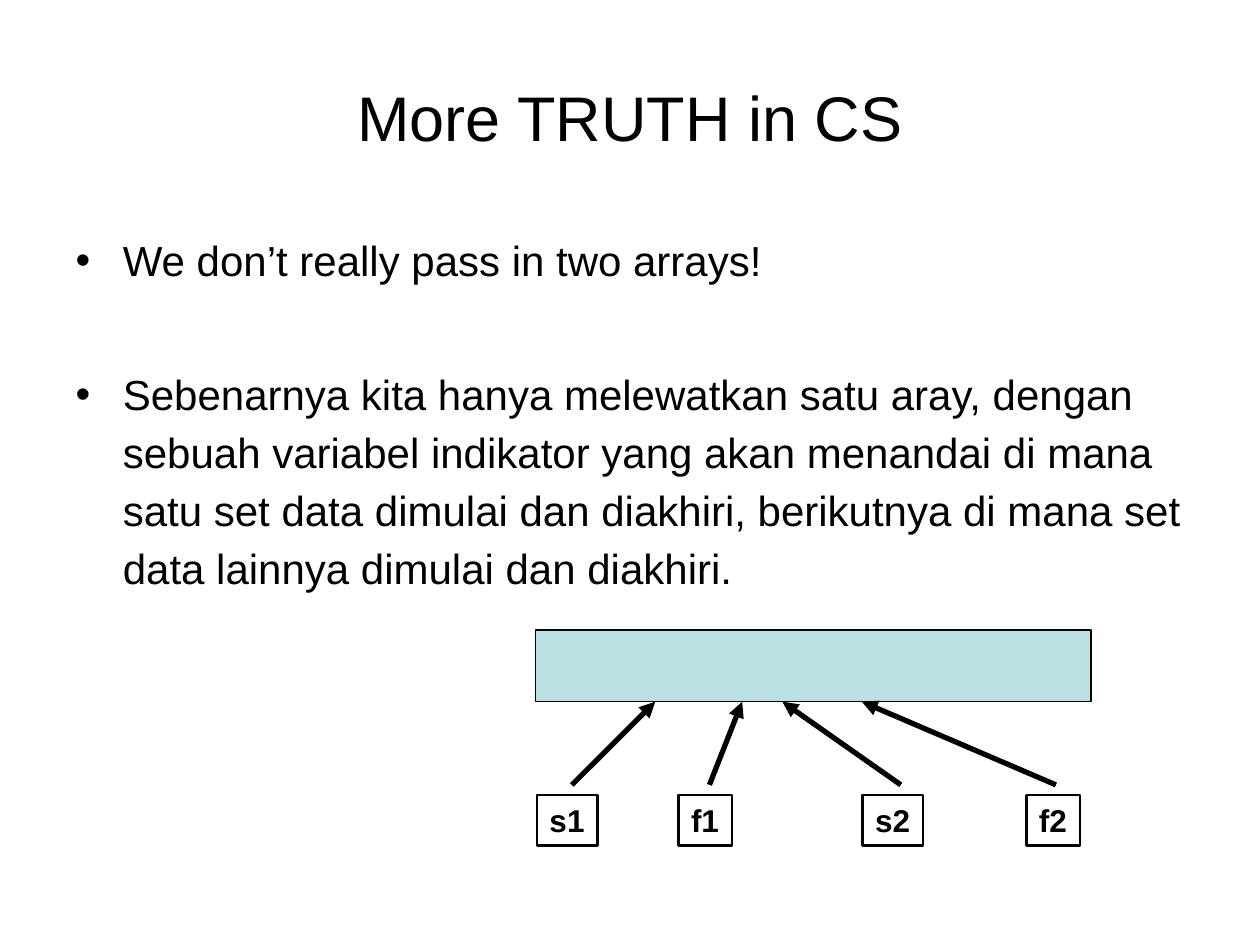
from dataclasses import dataclass

from lxml.etree import SubElement
from pptx import Presentation
from pptx.dml.color import RGBColor
from pptx.enum.shapes import MSO_CONNECTOR, MSO_SHAPE
from pptx.enum.text import MSO_ANCHOR, MSO_AUTO_SIZE, PP_ALIGN
from pptx.oxml.ns import qn
from pptx.shapes.autoshape import Shape
from pptx.slide import Slide
from pptx.text.text import _Paragraph
from pptx.util import Pt

COLORS = {"ink": "000000", "array": "BBE0E3"}
FONT = "Arial"
ARRAY_LEFT, ARRAY_TOP, ARRAY_WIDTH, ARRAY_HEIGHT = 306, 360, 317.5, 41
ARRAY_BOTTOM = ARRAY_TOP + ARRAY_HEIGHT
ARROW_START = 448.5
LABEL_TOP, LABEL_HEIGHT = 454.3, 29
HANGING = 27


@dataclass(frozen=True)
class Marker:
    name: str
    left: float
    width: float
    arrow_x: float
    target_x: float


MARKERS = [
    Marker("s1", 306.9, 34.5, 326.8, 374.4),
    Marker("f1", 387.8, 30.5, 405.4, 424.1),
    Marker("s2", 493, 34.5, 514.8, 447.1),
    Marker("f2", 586.6, 30.5, 603.4, 492.5),
]
POINTS = [
    ("We don’t really pass in two arrays!", 6),
    (
        "Sebenarnya kita hanya melewatkan satu aray, dengan sebuah variabel "
        "indikator yang akan menandai di mana satu set data dimulai dan diakhiri, "
        "berikutnya di mana set data lainnya dimulai dan diakhiri.",
        43.5,
    ),
]


def color(key: str) -> RGBColor:
    return RGBColor.from_string(COLORS[key])


def style(paragraph: _Paragraph, size: float, bold: bool = False) -> None:
    paragraph.font.name = FONT
    paragraph.font.size = Pt(size)
    paragraph.font.bold = bold
    paragraph.font.color.rgb = color("ink")


def place(shape: Shape, left: float, top: float, width: float, height: float) -> None:
    shape.left, shape.top = Pt(left), Pt(top)
    shape.width, shape.height = Pt(width), Pt(height)


def add_box(slide: Slide, left: float, top: float, width: float, height: float,
            line_width: float) -> Shape:
    box = slide.shapes.add_shape(
        MSO_SHAPE.RECTANGLE, Pt(left), Pt(top), Pt(width), Pt(height))
    box.shadow.inherit = False
    box.fill.background()
    box.line.color.rgb = color("ink")
    box.line.width = Pt(line_width)
    return box


def add_title(slide: Slide) -> None:
    title = slide.shapes.title
    place(title, 36, 21.6, 648, 90)
    frame = title.text_frame
    frame.text = "More TRUTH in CS"
    frame.auto_size = MSO_AUTO_SIZE.NONE
    frame.vertical_anchor = MSO_ANCHOR.MIDDLE
    frame.paragraphs[0].alignment = PP_ALIGN.CENTER
    style(frame.paragraphs[0], 36)


def add_points(slide: Slide) -> None:
    body = slide.placeholders[1]
    place(body, 36, 126, 648, 356.4)
    frame = body.text_frame
    frame.text = "\n".join(text for text, _ in POINTS)
    frame.auto_size = MSO_AUTO_SIZE.NONE
    for paragraph, (_, space_before) in zip(frame.paragraphs, POINTS):
        style(paragraph, 24)
        paragraph.line_spacing = 1.15
        paragraph.space_before = Pt(space_before)
        properties = paragraph._p.get_or_add_pPr()
        properties.set("marL", str(Pt(HANGING)))
        properties.set("indent", str(-Pt(HANGING)))


def add_label(slide: Slide, marker: Marker) -> None:
    label = add_box(slide, marker.left, LABEL_TOP, marker.width, LABEL_HEIGHT, 1.5)
    frame = label.text_frame
    frame.text = marker.name
    frame.word_wrap = False
    frame.auto_size = MSO_AUTO_SIZE.SHAPE_TO_FIT_TEXT
    frame.vertical_anchor = MSO_ANCHOR.TOP
    frame.paragraphs[0].alignment = PP_ALIGN.LEFT
    style(frame.paragraphs[0], 18, bold=True)


def add_arrow(slide: Slide, marker: Marker) -> None:
    arrow = slide.shapes.add_connector(
        MSO_CONNECTOR.STRAIGHT, Pt(marker.arrow_x), Pt(ARROW_START),
        Pt(marker.target_x), Pt(ARRAY_BOTTOM))
    arrow.line.color.rgb = color("ink")
    arrow.line.width = Pt(3)
    SubElement(arrow.line._get_or_add_ln(), qn("a:tailEnd"), type="triangle")
    SubElement(arrow._element.spPr, qn("a:effectLst"))


def main() -> None:
    presentation = Presentation()
    presentation.slide_width, presentation.slide_height = Pt(720), Pt(540)
    slide = presentation.slides.add_slide(presentation.slide_layouts[1])
    add_title(slide)
    add_points(slide)
    array = add_box(slide, ARRAY_LEFT, ARRAY_TOP, ARRAY_WIDTH, ARRAY_HEIGHT, 1)
    array.fill.solid()
    array.fill.fore_color.rgb = color("array")
    for marker in MARKERS:
        add_label(slide, marker)
    for marker in MARKERS:
        add_arrow(slide, marker)
    presentation.save("out.pptx")


if __name__ == "__main__":
    main()
